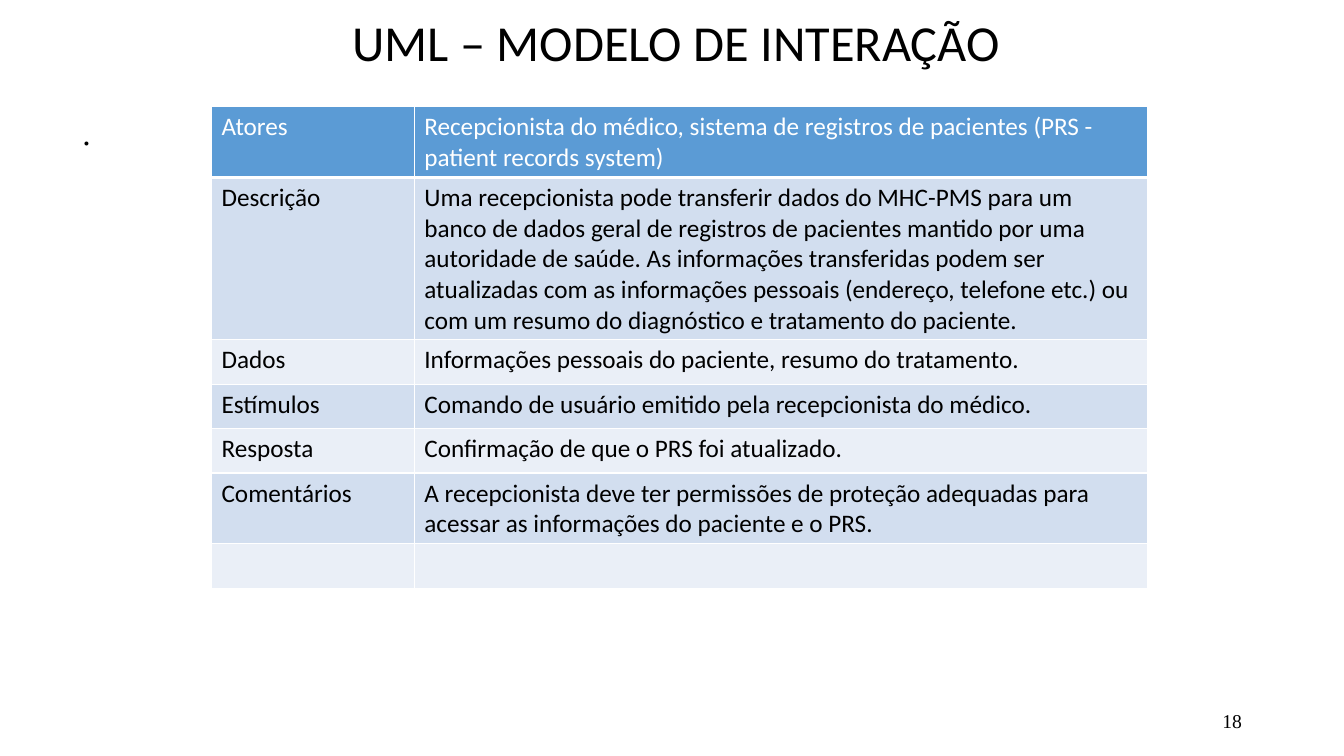
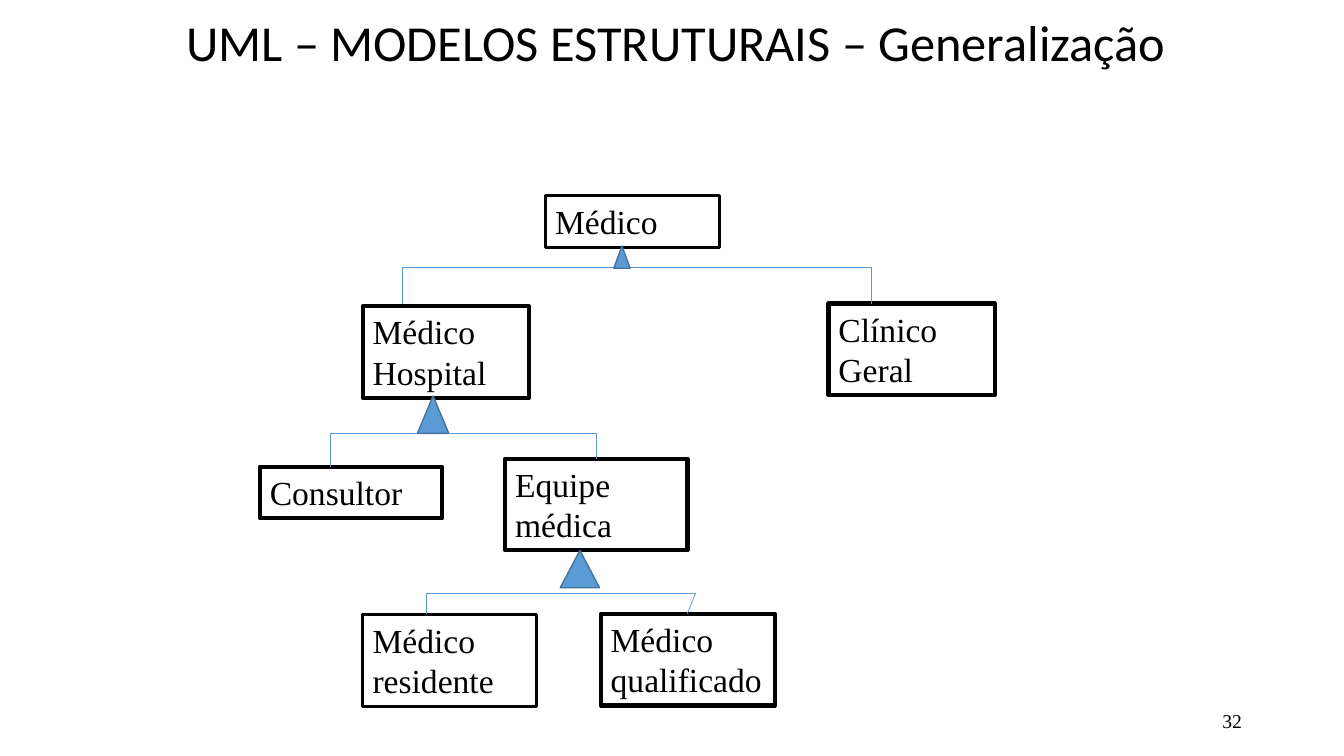
from lxml import etree
from pptx import Presentation
from pptx.dml.color import RGBColor
from pptx.enum import shapes as es, text as et
from pptx.oxml import ns
from pptx.util import Cm, Pt

HUES = {"ink": "000000", "paper": "FFFFFF", "blue": "5B9BD5",
        "edge": "43739E", "dark": "D2DEEF", "light": "EAEFF7"}
SANS, SERIF = "Calibri", "Times New Roman"
LEFT, MID, RIGHT = et.PP_ALIGN.LEFT, et.PP_ALIGN.CENTER, et.PP_ALIGN.RIGHT
TOP, CORE = et.MSO_ANCHOR.TOP, et.MSO_ANCHOR.MIDDLE

ROWS = [
    ("Atores", "Recepcionista do médico, sistema de registros de pacientes "
     "(PRS - patient records system)"),
    ("Descrição", "Uma recepcionista pode transferir dados do MHC-PMS para um "
     "banco de dados geral de registros de pacientes mantido por uma "
     "autoridade de saúde. As informações transferidas podem ser atualizadas "
     "com as informações pessoais (endereço, telefone etc.) ou com um resumo "
     "do diagnóstico e tratamento do paciente."),
    ("Dados", "Informações pessoais do paciente, resumo do tratamento."),
    ("Estímulos", "Comando de usuário emitido pela recepcionista do médico."),
    ("Resposta", "Confirmação de que o PRS foi atualizado."),
    ("Comentários", "A recepcionista deve ter permissões de proteção adequadas "
     "para acessar as informações do paciente e o PRS."),
    ("", ""),
]
TALL = [1.78, 4.09, 1.12, 1.12, 1.12, 1.78, 1.12]

# Class boxes: text, left, top, width, height, line width
NODES = [
    ("Médico", 7.19, 0, 4.39, 1.3, 2.25),
    ("Médico Hospital", 2.59, 2.79, 4.19, 2.31, 3),
    ("Clínico Geral", 14.33, 2.72, 4.19, 2.31, 3),
    ("Equipe médica", 6.18, 6.63, 4.6, 2.31, 3),
    ("Consultor", 0, 6.83, 4.6, 1.3, 3),
    ("Médico residente", 2.59, 10.56, 4.39, 2.31, 2.25),
    ("Médico qualificado", 8.59, 10.54, 4.39, 2.31, 3),
]
# Forks: bar height, bar ends, then the foot of each branch
FORKS = [
    (1.8, (3.58, 15.4), ((3.58, 2.72), (15.4, 2.72))),
    (5.99, (1.78, 8.49), ((1.78, 6.83), (8.49, 6.63))),
    (10.01, (4.19, 10.98), ((4.19, 10.54), (10.77, 10.54))),
]
# Triangles: left, top, width, height
HEADS = [(8.92, 1.27, 0.41, 0.56), (3.97, 5.05, 0.79, 0.94),
         (7.57, 8.94, 0.99, 0.94)]


def hue(name):
    return RGBColor.from_string(HUES[name])


def write(frame, words, size=24, face=SERIF, tone="ink", align=LEFT,
          anchor=TOP, lead=1.0):
    frame.word_wrap = True
    frame.vertical_anchor = anchor
    para = frame.paragraphs[0]
    para.text = words
    para.alignment = align
    para.line_spacing = lead
    para.font.size = Pt(size)
    para.font.name = face
    para.font.color.rgb = hue(tone)


def label(slide, box, words, **style):
    item = slide.shapes.add_textbox(*map(Cm, box))
    write(item.text_frame, words, **style)


def shape(slide, kind, box, line, width, fill=None):
    item = slide.shapes.add_shape(kind, *map(Cm, box))
    item.shadow.inherit = False
    item.line.color.rgb = hue(line)
    item.line.width = Pt(width)
    if fill:
        item.fill.solid()
        item.fill.fore_color.rgb = hue(fill)
    else:
        item.fill.background()
    return item


def link(slide, start, end):
    line = slide.shapes.add_connector(
        es.MSO_CONNECTOR.STRAIGHT, *map(Cm, start + end))
    line.line.color.rgb = hue("blue")
    line.line.width = Pt(0.5)
    etree.SubElement(line._element.spPr, ns.qn("a:effectLst"))


def rim(cell, base):
    # Cell borders go ahead of the fill
    props = cell._tc.get_or_add_tcPr()
    for side in "LRTB":
        width = base if side == "B" else 1
        line = etree.SubElement(props, ns.qn("a:ln" + side), w=str(Pt(width)))
        paint = etree.SubElement(line, ns.qn("a:solidFill"))
        etree.SubElement(paint, ns.qn("a:srgbClr"), val=HUES["paper"])


def start(deck, title, number):
    # Title and page number shared by all slides
    slide = deck.slides.add_slide(deck.slide_layouts[5])
    head = slide.shapes.title
    head.left, head.top, head.width, head.height = map(Cm, (4.24, 0, 25.6, 2.3))
    write(head.text_frame, title, size=36, face=SANS, align=MID,
          anchor=CORE, lead=0.9)
    head.text_frame.auto_size = et.MSO_AUTO_SIZE.NONE
    label(slide, (23.93, 17.65, 7.62, 1.02), number, size=14,
          align=RIGHT, anchor=CORE)
    return slide


def grid(slide, left, top, width):
    table = slide.shapes.add_table(
        len(ROWS), 2, Cm(left), Cm(top), Cm(width), Cm(sum(TALL))).table
    first = 5.11
    for col, size in zip(table.columns, (first, width - first)):
        col.width = Cm(size)
    for i, (pair, tall) in enumerate(zip(ROWS, TALL)):
        table.rows[i].height = Cm(tall)
        fill = "blue" if i == 0 else "dark" if i % 2 else "light"
        for j, words in enumerate(pair):
            cell = table.cell(i, j)
            rim(cell, 1 if i else 3)
            cell.fill.solid()
            cell.fill.fore_color.rgb = hue(fill)
            write(cell.text_frame, words, size=18, face=SANS,
                  tone="ink" if i else "paper")


def tree(slide, left, top):
    def place(x, y):
        return left + x, top + y

    # Class boxes
    for words, x, y, wide, tall, width in NODES:
        item = shape(slide, es.MSO_SHAPE.RECTANGLE,
                     place(x, y) + (wide, tall), "ink", width)
        write(item.text_frame, words)
    # Branches
    for y, ends, feet in FORKS:
        link(slide, place(ends[0], y), place(ends[1], y))
        for x, foot in zip(ends, feet):
            link(slide, place(x, y), place(*foot))
    # Generalization heads
    for x, y, wide, tall in HEADS:
        shape(slide, es.MSO_SHAPE.ISOSCELES_TRIANGLE,
              place(x, y) + (wide, tall), "edge", 1, "blue")


def main():
    deck = Presentation()
    deck.slide_width, deck.slide_height = Cm(33.87), Cm(19.05)

    # Interaction model
    slide = start(deck, "UML – MODELO DE INTERAÇÃO", "18")
    label(slide, (1.83, 2.69, 24.2, 1.3), ".")
    grid(slide, 5.33, 2.69, 23.6)

    # Structural model
    slide = start(deck, "UML – MODELOS ESTRUTURAIS – Generalização", "32")
    tree(slide, 6.55, 4.93)

    deck.save("out.pptx")


if __name__ == "__main__":
    main()
